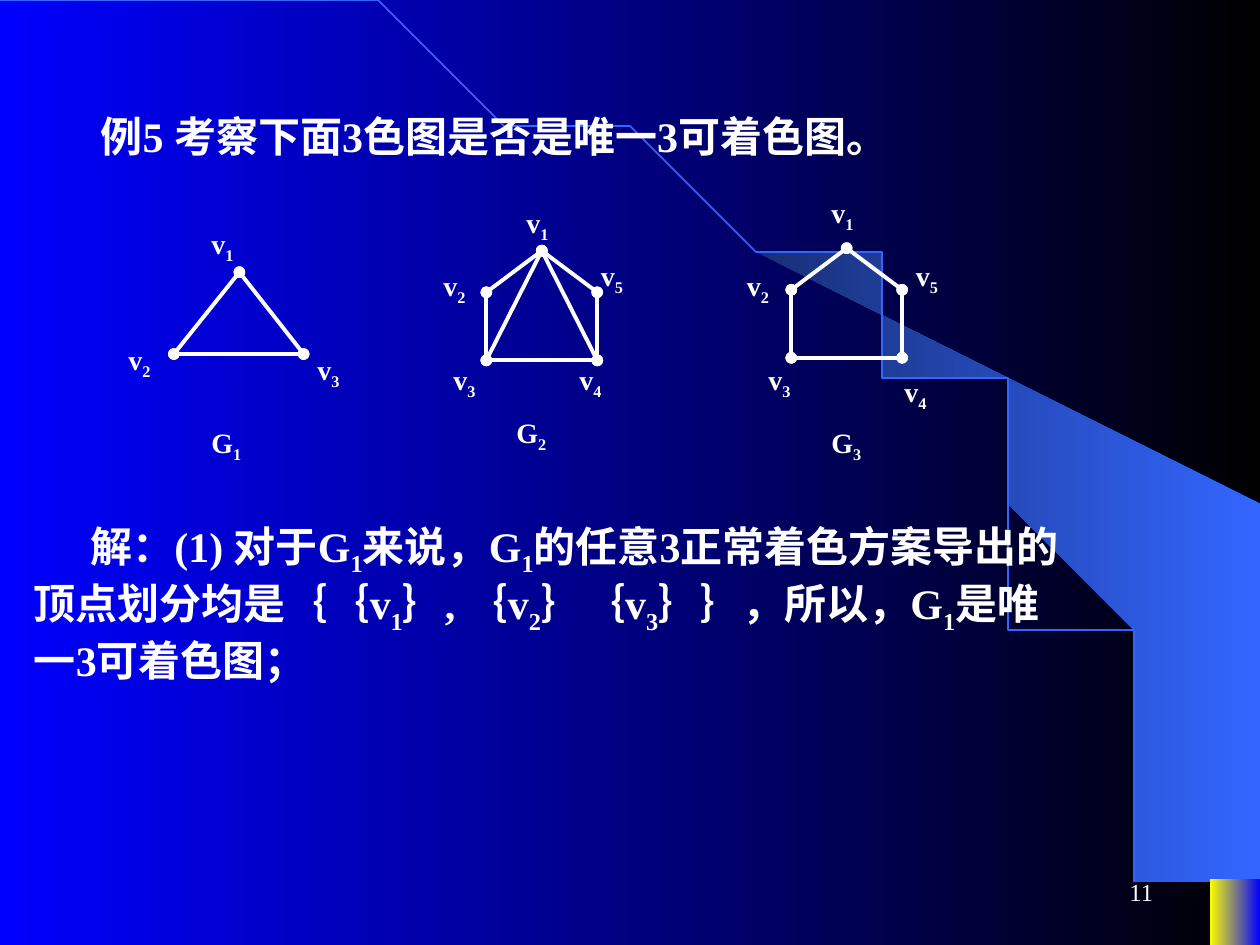
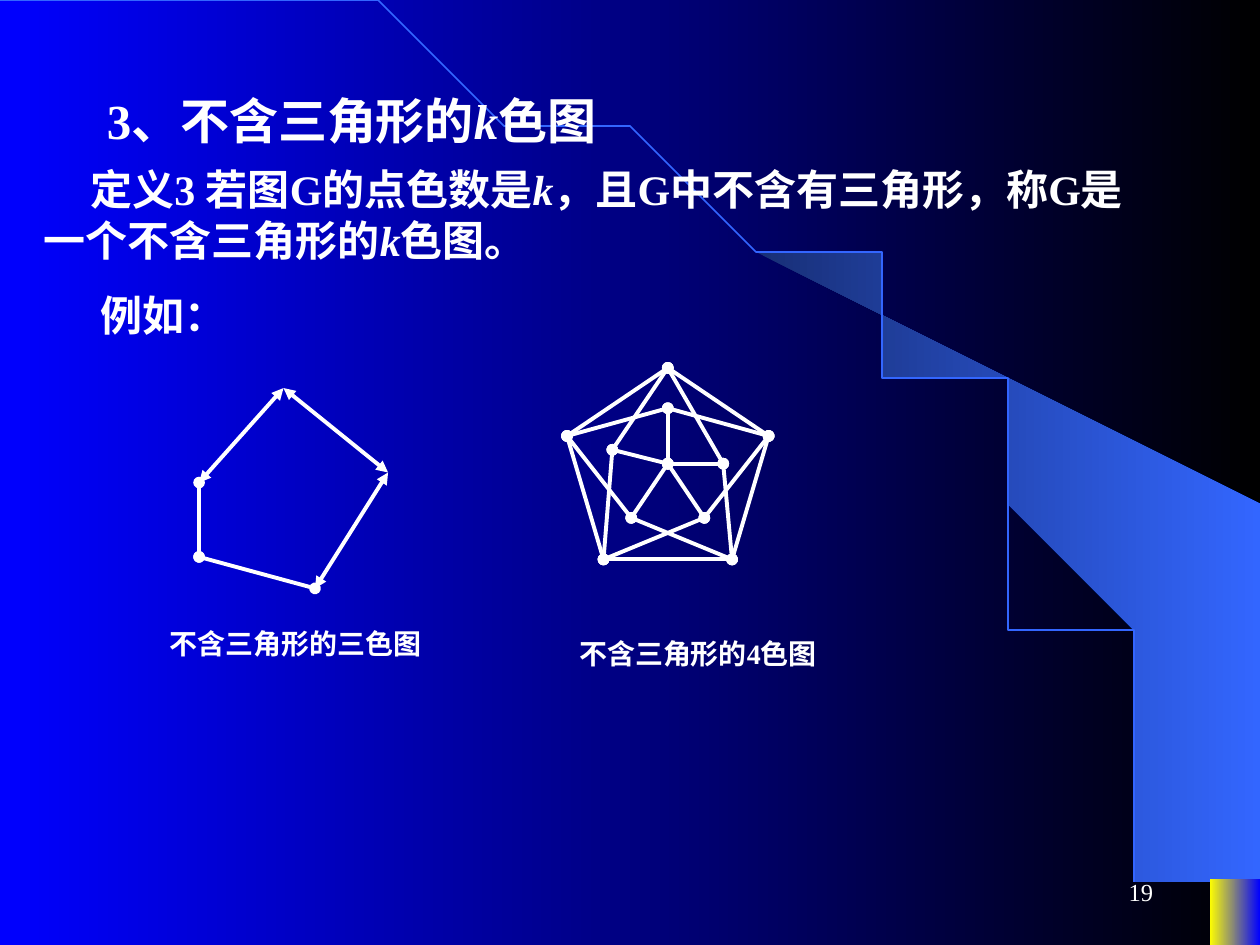
from itertools import pairwise
from math import cos, pi, sin

from lxml.etree import SubElement
from pptx import Presentation
from pptx.dml.color import RGBColor
from pptx.enum.shapes import MSO_CONNECTOR, MSO_SHAPE
from pptx.enum.text import MSO_ANCHOR, PP_ALIGN
from pptx.oxml.ns import qn
from pptx.util import Inches, Pt

WHITE = RGBColor(0xFF, 0xFF, 0xFF)
BLACK = RGBColor(0x00, 0x00, 0x00)
BLUE = RGBColor(0x00, 0x00, 0xFF)
YELLOW = RGBColor(0xFF, 0xFF, 0x00)
NAVY = RGBColor(0x18, 0x2F, 0x76)
SKY = RGBColor(0x33, 0x66, 0xFF)
FONT = "Times New Roman"

# Outer corners of the sail, then its inner edge from top to bottom
SAIL = [(9.2, 7.48), (9.99, 7.49), (9.99, 4.23), (5.89, 1.73), (6.24, 1.99),
        (6.53, 2.22), (6.85, 2.5), (7.16, 2.8), (7.62, 3.3), (8.03, 3.84),
        (8.32, 4.31), (8.58, 4.79), (8.78, 5.28), (8.93, 5.72), (9.03, 6.09),
        (9.13, 6.56), (9.17, 6.96)]
ARC_WIDTH, ARC_HEIGHT, ARC_STEPS = 9.2, 7.49, 60
ARC = [(ARC_WIDTH * sin(step / ARC_STEPS * pi / 2),
        ARC_HEIGHT * (1 - cos(step / ARC_STEPS * pi / 2)))
       for step in range(ARC_STEPS + 1)]


def add_text(shapes, area, text, size, bold=True, indent=0):
    """Add a text box; pieces between bars are subscripts (digits) or italics."""
    box = shapes.add_textbox(*[Inches(length) for length in area])
    box.text_frame.word_wrap = True
    para = box.text_frame.paragraphs[0]
    if indent:
        para._p.get_or_add_pPr().set("indent", str(Inches(indent)))
    para.font.name = FONT
    para.font.size = Pt(size)
    para.font.bold = bold
    para.font.color.rgb = WHITE
    for position, piece in enumerate(text.split("|")):
        span = para.add_run()
        span.text = piece
        if position % 2 and piece.isdigit():
            span.font._element.set("baseline", "-25000")
        elif position % 2:
            span.font.italic = True
    return box


def add_edge(shapes, start, end, tip="oval"):
    edge = shapes.add_connector(
        MSO_CONNECTOR.STRAIGHT, *[Inches(length) for length in (*start, *end)])
    edge.line.color.rgb = WHITE
    edge.line.width = Pt(2.25)
    outline = edge.line._get_or_add_ln()
    for tag in ("a:headEnd", "a:tailEnd"):
        SubElement(outline, qn(tag)).set("type", tip)
    SubElement(edge._element.spPr, qn("a:effectLst"))


deck = Presentation()
deck.slide_width = Inches(10)
deck.slide_height = Inches(7.5)

# Shared backdrop and page number
pages = []
for number in ("11", "19"):
    page = deck.slides.add_slide(deck.slide_layouts[6])
    pages.append(page)
    outlines = []
    for points, closed in ((SAIL, True), (ARC, False)):
        builder = page.shapes.build_freeform(*points[0], scale=Inches(1))
        builder.add_line_segments(points[1:], close=closed)
        outlines.append(builder.convert_to_shape())
    sail, arc = outlines
    corner = page.shapes.add_shape(
        MSO_SHAPE.RECTANGLE, Inches(9.6), Inches(6.98), Inches(0.4), Inches(0.52))
    for shape in (sail, arc, corner):
        shape.shadow.inherit = False
        shape.line.fill.background()
    arc.fill.background()
    arc.line.color.rgb = SKY
    arc.line.width = Pt(1)
    for fill, left_colour, right_colour in ((page.background.fill, BLUE, BLACK),
                                            (sail.fill, NAVY, SKY),
                                            (corner.fill, YELLOW, BLUE)):
        fill.gradient()
        fill.gradient_angle = 0
        fill.gradient_stops[0].color.rgb = left_colour
        fill.gradient_stops[1].color.rgb = right_colour
    number_box = add_text(page.shapes, (7.17, 6.83, 2.08, 0.5), number, 14, bold=False)
    number_box.text_frame.vertical_anchor = MSO_ANCHOR.MIDDLE
    number_box.text_frame.paragraphs[0].alignment = PP_ALIGN.RIGHT

example_page, definition_page = pages

# Example 5: three graphs; each has its vertices, chords and label places
add_text(example_page.shapes, (0.25, 0.83, 8.5, 0.5),
         "例5 考察下面3色图是否是唯一3可着色图。", 24, indent=0.45)

graphs = [
    ([(1.9, 2.16), (1.38, 2.81), (2.41, 2.81)], [],
     [(1.58, 1.75), (0.92, 2.67), (2.42, 2.75)], (1.58, 3.33)),
    ([(4.3, 1.99), (3.86, 2.32), (3.86, 2.86), (4.74, 2.86), (4.74, 2.32)],
     [(0, 2), (0, 3)],
     [(4.08, 1.58), (3.42, 2.08), (3.5, 2.83), (4.5, 2.83), (4.67, 2)], (4, 3.25)),
    ([(6.72, 1.97), (6.28, 2.3), (6.28, 2.84), (7.16, 2.84), (7.16, 2.3)], [],
     [(6.5, 1.5), (5.83, 2.08), (6, 2.83), (7.08, 2.92), (7.17, 2)], (6.5, 3.33)),
]
for index, (vertices, chords, label_places, name_place) in enumerate(graphs, 1):
    shapes = example_page.shapes.add_group_shape().shapes
    for start, end in pairwise(vertices + vertices[:1]):
        add_edge(shapes, start, end)
    for first, second in chords:
        add_edge(shapes, vertices[first], vertices[second])
    for label_index, place in enumerate(label_places, 1):
        add_text(shapes, (*place, 0.6, 0.41), f"v|{label_index}|", 16)
    add_text(shapes, (*name_place, 0.6, 0.41), f"G|{index}|", 16)

add_text(example_page.shapes, (0.17, 4.08, 8.5, 1.47),
         "解：(1) 对于G|1|来说，G|1|的任意3正常着色方案导出的顶点划分均是"
         "｛｛v|1|｝, ｛v|2|｝｛v|3|｝｝，所以，G|1|是唯一3可着色图；",
         24, indent=0.45)

# Definition 3: triangle-free graphs
add_text(definition_page.shapes, (0.25, 1.25, 8.83, 0.9),
         "定义3 若图G的点色数是|k|，且G中不含有三角形，称G是一个不含三角形的|k|色图。",
         24, indent=0.37)
add_text(definition_page.shapes, (0.33, 0.67, 8.5, 0.57),
         "3、不含三角形的|k|色图", 28, indent=0.42)
add_text(definition_page.shapes, (0.33, 2.25, 8.83, 0.5), "例如：", 24, indent=0.37)

# Five-cycle with three colours
shapes = definition_page.shapes.add_group_shape().shapes
cycle = [(1.58, 3.83), (2.25, 3.08), (3.08, 3.75), (2.5, 4.67), (1.58, 4.42)]
tips = ["triangle"] * 3 + ["oval"] * 2
for (start, end), tip in zip(pairwise(cycle + cycle[:1]), tips):
    add_edge(shapes, start, end, tip)
add_text(shapes, (1.25, 4.92, 2.25, 0.37), "不含三角形的三色图", 16)

# Four-colour graph: each inner vertex joins the hub and two outer neighbours
shapes = definition_page.shapes.add_group_shape().shapes
outer = [(5.3, 2.92), (6.1, 3.46), (5.81, 4.44), (4.79, 4.44), (4.5, 3.46)]
inner = [(5.3, 3.24), (5.74, 3.68), (5.59, 4.11), (5.01, 4.11), (4.86, 3.57)]
hub = (5.3, 3.68)
for index, vertex in enumerate(inner):
    following = outer[(index + 1) % len(outer)]
    add_edge(shapes, outer[index], following)
    add_edge(shapes, vertex, outer[index - 1])
    add_edge(shapes, vertex, following)
    add_edge(shapes, vertex, hub)
add_text(shapes, (4.5, 5, 2.5, 0.37), "不含三角形的4色图", 16)

deck.save("out.pptx")
